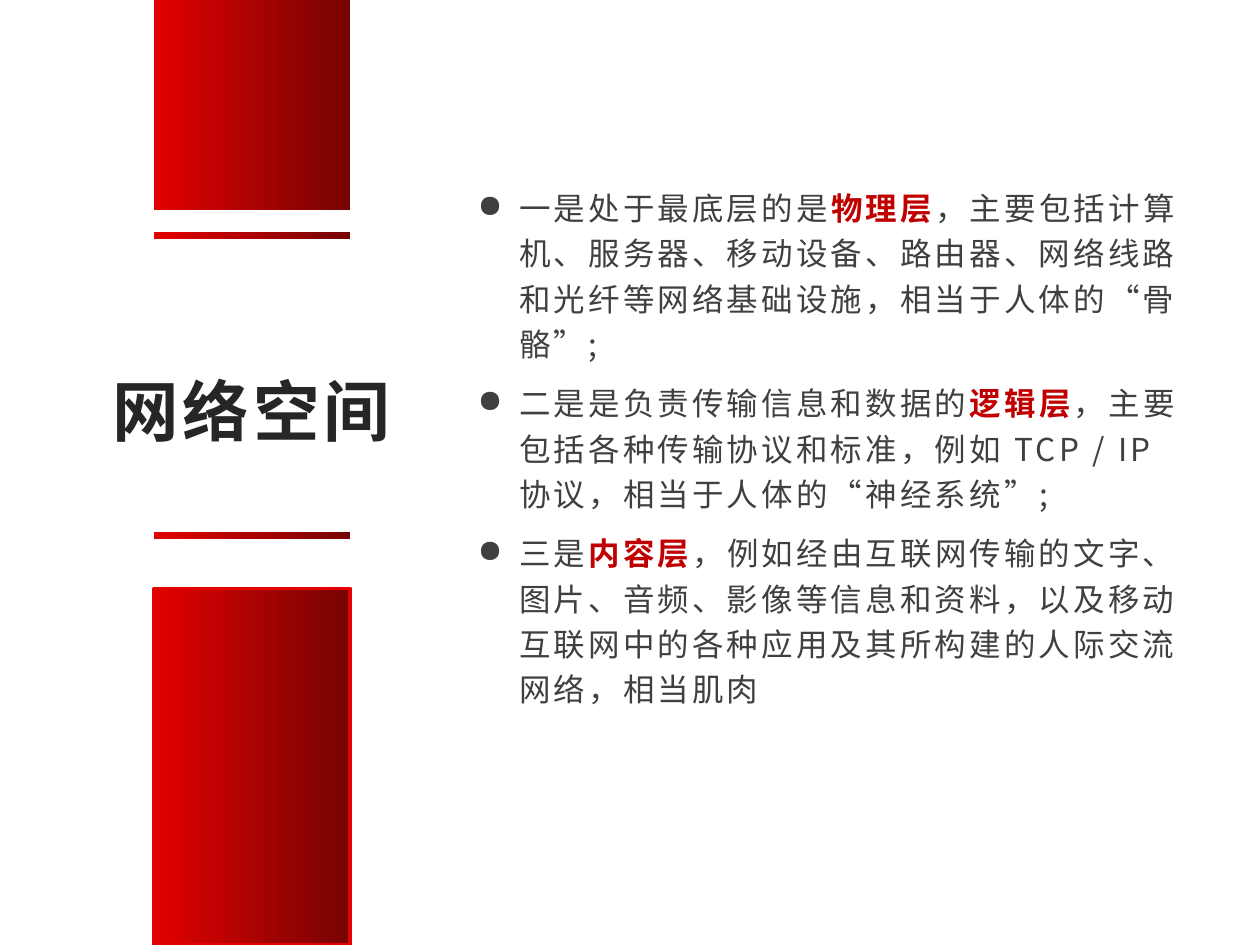
import pptx
import pptx.util
import pptx.dml.color
import pptx.enum.shapes
import pptx.enum.text
import pptx.oxml.ns
from lxml import etree

Inches, Pt = pptx.util.Inches, pptx.util.Pt
WIDTH, HEIGHT = 10, 7.5

TITLE = "网络空间"
# Each layer: lead-in, highlighted name, description
LAYERS = [
    ("一是处于最底层的是", "物理层",
     "，主要包括计算机、服务器、移动设备、路由器、网络线路和光纤等网络基础设施，相当于人体的“骨骼”;"),
    ("二是是负责传输信息和数据的", "逻辑层",
     "，主要包括各种传输协议和标准，例如 TCP / IP 协议，相当于人体的“神经系统”;"),
    ("三是", "内容层",
     "，例如经由互联网传输的文字、图片、音频、影像等信息和资料，以及移动互联网中的各种应用及其所构建的人际交流网络，相当肌肉"),
]

THEME = {
    "font": "Noto Sans CJK SC",
    "gradient": ("E30000", "760303"),
    "outline": "E30000",
    "title": {"size": 38, "color": "262626", "bold": True, "spacing": 220},
    "body": {"size": 18, "color": "404040", "bold": False, "spacing": 180},
    "accent": {"size": 18, "color": "C00000", "bold": True, "spacing": 180},
}

# Red column: (top, height, outlined)
BAND_LEFT, BAND_WIDTH, RULE = 1.22, 1.56, 0.06
BLOCK_TOP = 4.67
BANDS = [
    (0, 1.67, False),
    (1.84, RULE, False),
    (BLOCK_TOP, HEIGHT - BLOCK_TOP, True),
    (4.22, RULE, False),
]
TITLE_AREA = (0.75, 2.44, 2.49, 1.63)
BODY_AREA = (3.74, 1.79, 5.76, 3.93)
BODY_LIFT = 0.47  # extra bottom margin that raises the centred text
HANG = 0.33


def rgb(value):
    return pptx.dml.color.RGBColor.from_string(value)


def add_text_frame(page, area, bottom=0.02):
    frame = page.shapes.add_textbox(*map(Inches, area)).text_frame
    settings = {
        "word_wrap": True,
        "vertical_anchor": pptx.enum.text.MSO_ANCHOR.MIDDLE,
        "margin_left": Inches(0.05),
        "margin_right": Inches(0.05),
        "margin_top": Inches(0.02),
        "margin_bottom": Inches(bottom),
    }
    for name, value in settings.items():
        setattr(frame, name, value)
    return frame


def add_span(para, text, style):
    span = para.add_run()
    span.text = text
    settings = {"name": THEME["font"], "size": Pt(style["size"]), "bold": style["bold"]}
    for name, value in settings.items():
        setattr(span.font, name, value)
    span.font.color.rgb = rgb(style["color"])
    properties = span.font._element
    properties.set("spc", str(style["spacing"]))
    east_asian = etree.SubElement(properties, pptx.oxml.ns.qn("a:ea"))
    east_asian.set("typeface", THEME["font"])


def format_bullet(para):
    para.line_spacing = 1.2
    para.space_after = Pt(8)
    properties = para._p.get_or_add_pPr()
    properties.set("marL", str(Inches(HANG)))
    properties.set("indent", str(-Inches(HANG)))
    etree.SubElement(properties, pptx.oxml.ns.qn("a:buChar")).set("char", "●")


def add_band(page, top, height, outlined):
    band = page.shapes.add_shape(
        pptx.enum.shapes.MSO_SHAPE.RECTANGLE,
        *map(Inches, (BAND_LEFT, top, BAND_WIDTH, height)))
    band.shadow.inherit = False
    band.fill.gradient()
    band.fill.gradient_angle = 0
    for stop, position, color in zip(band.fill.gradient_stops, (0, 1), THEME["gradient"]):
        stop.position = position
        stop.color.rgb = rgb(color)
    if outlined:
        band.line.color.rgb = rgb(THEME["outline"])
        band.line.width = Pt(2)
    else:
        band.line.fill.background()


def main():
    deck = pptx.Presentation()
    deck.slide_width, deck.slide_height = Inches(WIDTH), Inches(HEIGHT)
    page = deck.slides.add_slide(deck.slide_layouts[6])

    heading = add_text_frame(page, TITLE_AREA).paragraphs[0]
    heading.alignment = pptx.enum.text.PP_ALIGN.CENTER
    add_span(heading, TITLE, THEME["title"])

    body = add_text_frame(page, BODY_AREA, bottom=BODY_LIFT)
    for index, layer in enumerate(LAYERS):
        para = body.add_paragraph() if index else body.paragraphs[0]
        format_bullet(para)
        for text, style in zip(layer, ("body", "accent", "body")):
            add_span(para, text, THEME[style])

    for band in BANDS:
        add_band(page, *band)
    deck.save("out.pptx")


if __name__ == "__main__":
    main()
